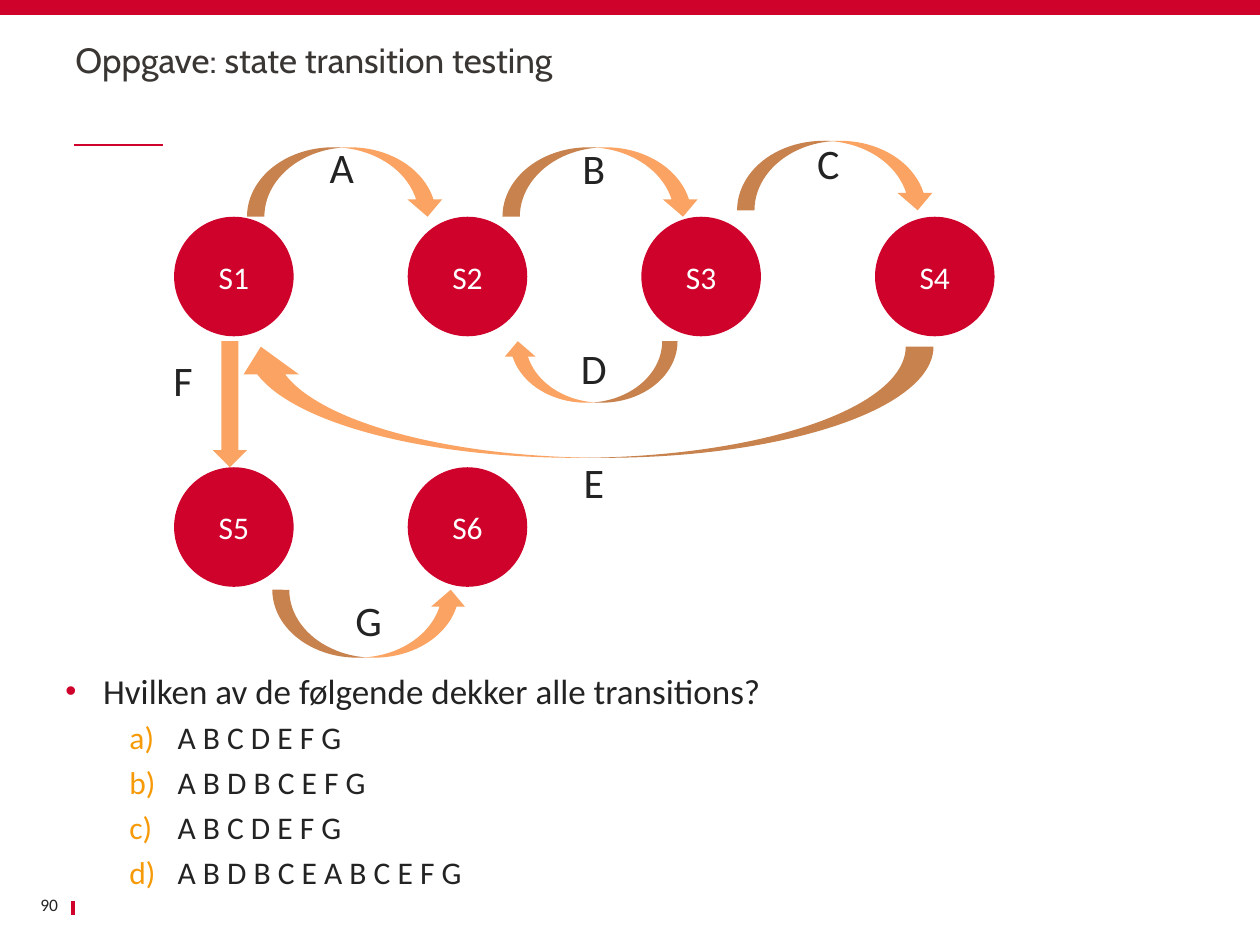
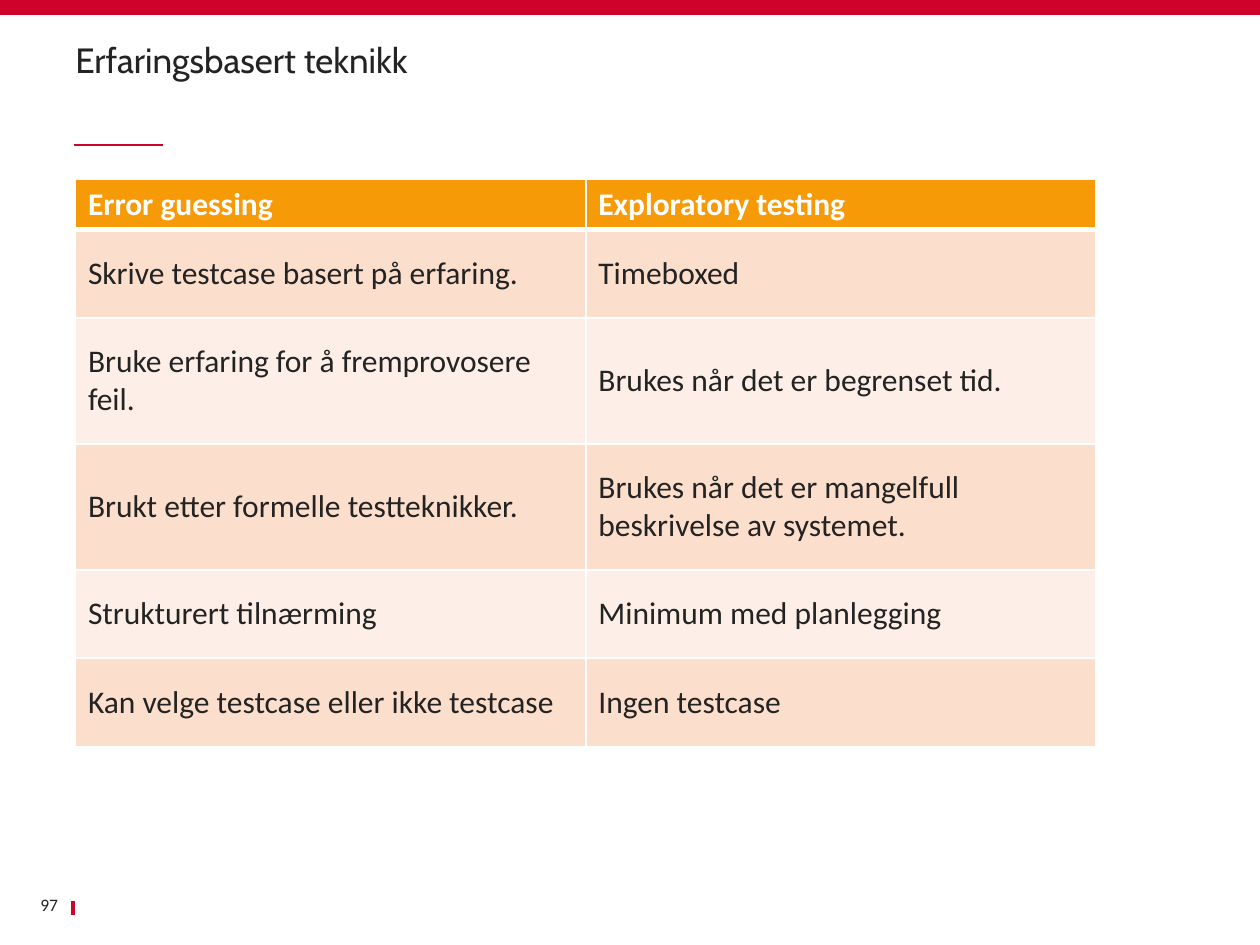
from dataclasses import dataclass

from lxml.etree import SubElement
from pptx import Presentation
from pptx.dml.color import RGBColor
from pptx.enum.shapes import MSO_CONNECTOR, MSO_SHAPE
from pptx.enum.text import MSO_ANCHOR, PP_ALIGN
from pptx.oxml.ns import qn
from pptx.util import Cm, Pt


@dataclass(frozen=True)
class Theme:
    red: str = "CF022B"
    gold: str = "F79A08"
    peach: str = "FAA362"
    bands: tuple = ("FCDECC", "FDEFE7")
    ink: str = "232323"
    soft: str = "393634"
    white: str = "FFFFFF"
    head: str = "Cabin"
    body: str = "Calibri"
    large: int = 24
    title: int = 20
    text: int = 18
    small: int = 10


T = Theme()

# Circle name: column, row
STATES = {"S1": (0, 0), "S2": (1, 0), "S3": (2, 0), "S4": (3, 0),
          "S5": (0, 1), "S6": (1, 1)}
STATE_X, STATE_Y = 3.51, 4.37
STEP_X, STEP_Y = 4.71, 5.05
STATE_SIZE = 2.41

DOWN, UP = MSO_SHAPE.CURVED_DOWN_ARROW, MSO_SHAPE.CURVED_UP_ARROW
# Name, label corner, arrow kind, arrow box, flips
MOVES = [
    ("A", (6.32, 2.72), DOWN, (4.98, 2.97, 3.99, 1.4), ""),
    ("B", (11.4, 2.74), DOWN, (10.13, 2.97, 3.99, 1.4), ""),
    ("C", (16.13, 2.64), DOWN, (14.86, 2.84, 3.99, 1.4), ""),
    ("D", (11.4, 6.78), DOWN, (10.13, 6.88, 3.53, 1.24), "HV"),
    ("E", (11.4, 9.07), UP, (4.7, 6.99, 14.12, 2.24), "H"),
    ("F", (3.12, 7.01), MSO_SHAPE.DOWN_ARROW, (4.29, 6.88, 0.69, 2.54), ""),
    ("G", (6.86, 11.86), DOWN, (5.49, 11.89, 3.94, 1.37), "V"),
]
LABEL_SIZE = (1.14, 1.27)

QUESTION = "Hvilken av de følgende dekker alle transitions?"
ANSWERS = ["A B C D E F G", "A B D B C E F G", "A B C D E F G",
           "A B D B C E A B C E F G"]

METHODS = [
    ("Error guessing", "Exploratory testing"),
    ("Skrive testcase basert på erfaring.", "Timeboxed"),
    ("Bruke erfaring for å fremprovosere feil.",
     "Brukes når det er begrenset tid."),
    ("Brukt etter formelle testteknikker.",
     "Brukes når det er mangelfull beskrivelse av systemet."),
    ("Strukturert tilnærming", "Minimum med planlegging"),
    ("Kan velge testcase eller ikke testcase", "Ingen testcase"),
]
ROWS = [1, 1.78, 2.54, 2.54, 1.78, 1.78]
COL = 10.29


def rgb(code):
    return RGBColor.from_string(code)


def cms(vals):
    return [Cm(v) for v in vals]


def write(frame, text, size=T.text, color=T.ink, font=T.body, bold=False,
          align=PP_ALIGN.LEFT, line=None, before=0):
    """Fill the first empty paragraph, or add one, and return it."""
    par = frame.paragraphs[0]
    if par.runs:
        par = frame.add_paragraph()
    par.alignment = align
    par.space_before = Pt(before)
    if line:
        par.line_spacing = line
    run = par.add_run()
    run.text = text
    run.font.size, run.font.name, run.font.bold = Pt(size), font, bold
    run.font.color.rgb = rgb(color)
    return par


def bullet(par, color, left, hang, level=0, mark=None):
    """Give the paragraph a mark, or letters where there is none."""
    par.level = level
    props = par._p.get_or_add_pPr()
    props.set("marL", str(Cm(left)))
    props.set("indent", str(-Cm(hang)))
    tint = SubElement(props, qn("a:buClr"))
    SubElement(tint, qn("a:srgbClr"), val=color)
    if mark:
        SubElement(props, qn("a:buSzPct"), val="90000")
        SubElement(props, qn("a:buFont"), typeface="Arial")
        SubElement(props, qn("a:buChar"), char=mark)
    else:
        SubElement(props, qn("a:buFont"), typeface="+mj-lt")
        SubElement(props, qn("a:buAutoNum"), type="alphaLcParenR")


def box(slide, area, anchor=MSO_ANCHOR.TOP, pad=(0.25, 0.13)):
    frame = slide.shapes.add_textbox(*cms(area)).text_frame
    frame.word_wrap = True
    frame.vertical_anchor = anchor
    frame.margin_left = frame.margin_right = Cm(pad[0])
    frame.margin_top = frame.margin_bottom = Cm(pad[1])
    return frame


def shape(slide, kind, area, color, flips=""):
    item = slide.shapes.add_shape(kind, *cms(area))
    item.shadow.inherit = False
    item.fill.solid()
    item.fill.fore_color.rgb = rgb(color)
    item.line.fill.background()
    for axis in flips:
        item._element.spPr.xfrm.set("flip" + axis, "1")
    return item


def rule(slide, ends, width):
    line = slide.shapes.add_connector(MSO_CONNECTOR.STRAIGHT, *cms(ends))
    line.line.color.rgb = rgb(T.red)
    line.line.width = Pt(width)
    SubElement(line._element.spPr, qn("a:effectLst"))


def start(deck, title, number, color=T.ink):
    """Add a slide with the band, rules, title and page number."""
    slide = deck.slides.add_slide(deck.slide_layouts[6])
    rule(slide, (1.47, 18.16, 1.47, 18.44), 2.25)
    rule(slide, (1.5, 2.92, 3.28, 2.92), 1)
    shape(slide, MSO_SHAPE.RECTANGLE, (0, 0, 25.4, 0.3), T.red)
    frame = box(slide, (1.52, 0.53, 22.35, 1.24), MSO_ANCHOR.BOTTOM, (0, 0.13))
    write(frame, title, size=T.title, color=color, font=T.head, line=0.9)
    frame = box(slide, (0.51, 17.93, 0.91, 0.61), MSO_ANCHOR.MIDDLE)
    frame.margin_left = 0
    write(frame, str(number), size=T.small, align=PP_ALIGN.RIGHT)
    return slide


def states(deck):
    slide = start(deck, "Oppgave: state transition testing", 90, T.soft)
    frame = box(slide, (1.32, 13.49, 22.48, 5.21), pad=(0, 0))
    bullet(write(frame, QUESTION, size=T.title), T.red, 0.76, 0.76, mark="•")
    for answer in ANSWERS:
        bullet(write(frame, answer, before=4.1), T.gold, 2.26, 0.97, level=1)

    for name, (col, row) in STATES.items():
        area = (STATE_X + col * STEP_X, STATE_Y + row * STEP_Y,
                STATE_SIZE, STATE_SIZE)
        frame = shape(slide, MSO_SHAPE.OVAL, area, T.red).text_frame
        frame.vertical_anchor = MSO_ANCHOR.MIDDLE
        write(frame, name, color=T.white, align=PP_ALIGN.CENTER)

    for name, spot, kind, area, flips in MOVES:
        shape(slide, kind, area, T.peach, flips)
        write(box(slide, spot + LABEL_SIZE), name, size=T.large,
              align=PP_ALIGN.CENTER)


def edge(cell, side, width):
    line = SubElement(cell._tc.get_or_add_tcPr(), qn("a:ln" + side),
                      w=str(Pt(width)))
    fill = SubElement(line, qn("a:solidFill"))
    SubElement(fill, qn("a:srgbClr"), val=T.white)


def methods(deck):
    slide = start(deck, "Erfaringsbasert teknikk", 97)
    area = (1.52, 3.61, 2 * COL, sum(ROWS))
    table = slide.shapes.add_table(len(METHODS), 2, *cms(area)).table
    table.horz_banding = False
    for col in table.columns:
        col.width = Cm(COL)
    for r, texts in enumerate(METHODS):
        table.rows[r].height = Cm(ROWS[r])
        top = r == 0
        for c, text in enumerate(texts):
            cell = table.cell(r, c)
            for side in "LRTB":
                thick = (side, r) in (("B", 0), ("T", 1))
                edge(cell, side, 3 if thick else 1)
            cell.fill.solid()
            cell.fill.fore_color.rgb = rgb(T.gold if top else T.bands[(r - 1) % 2])
            cell.vertical_anchor = MSO_ANCHOR.TOP if top else MSO_ANCHOR.MIDDLE
            write(cell.text_frame, text, bold=top,
                  color=T.white if top else T.ink)


def main():
    deck = Presentation()
    deck.slide_width, deck.slide_height = Cm(25.4), Cm(19.05)
    states(deck)
    methods(deck)
    deck.save("out.pptx")


if __name__ == "__main__":
    main()
